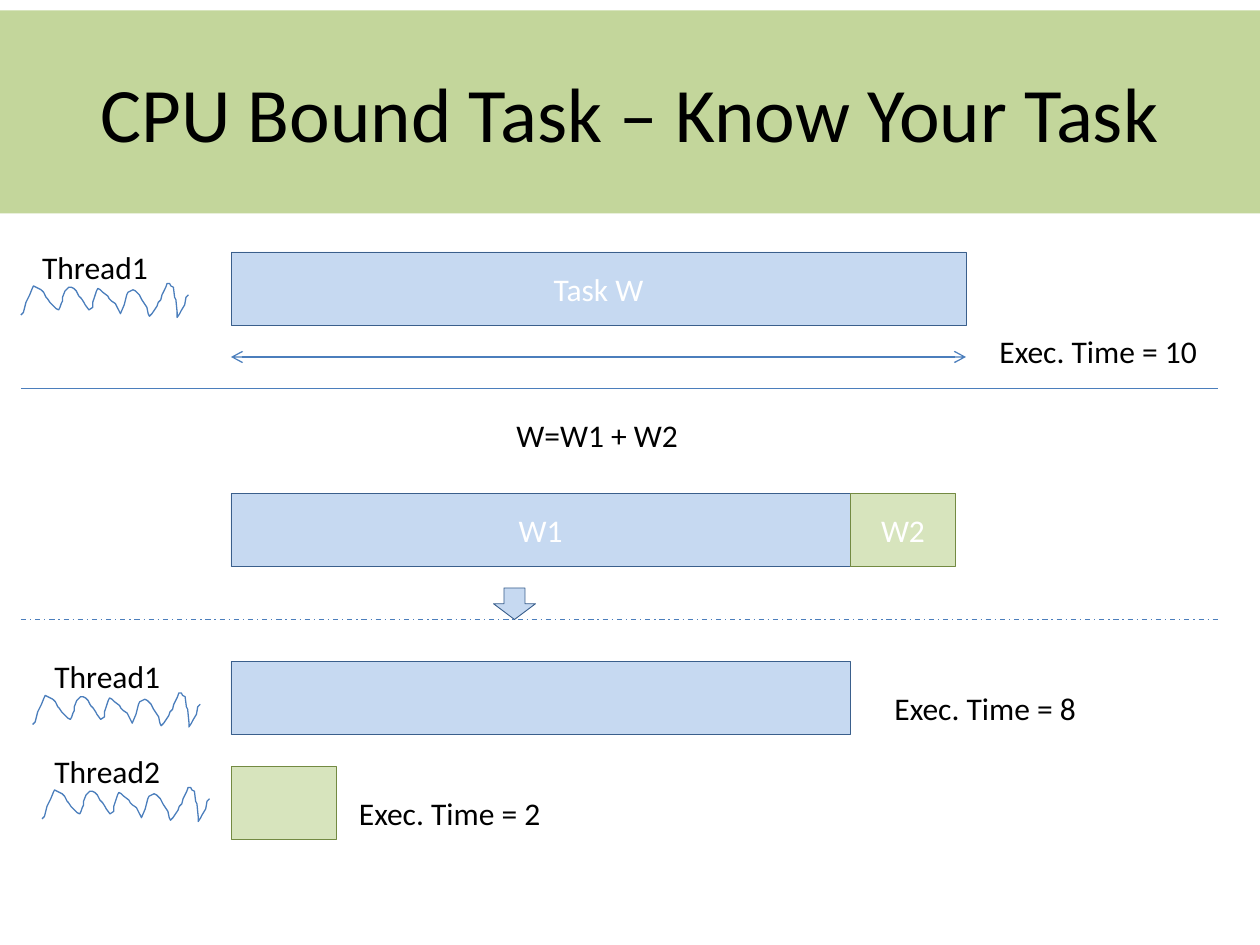
from lxml import etree
from pptx import Presentation
from pptx.dml.color import RGBColor
from pptx.enum import dml, shapes, text
from pptx.oxml import ns
from pptx.util import Pt


def colour(code):
    return RGBColor.from_string(code)


class Sketch:
    """Slide with its style; every length is in points."""
    FONT = "Calibri"
    BLACK, WHITE, ACCENT = "000000", "FFFFFF", "4B7EBC"
    BANNER = ("C3D69B", None)
    BLUE = ("C6D9F1", "3A5F8C")
    GREEN = ("D7E4BD", "738A42")

    def __init__(self, slide):
        self.slide = slide

    def set_words(self, shape, words, size, ink, align):
        frame = shape.text_frame
        frame.word_wrap = True
        paragraph = frame.paragraphs[0]
        paragraph.alignment = align
        run = paragraph.add_run()
        run.text = words
        for key, value in {"name": self.FONT, "size": Pt(size)}.items():
            setattr(run.font, key, value)
        run.font.color.rgb = colour(ink)
        return frame

    def block(self, x, y, w, h, style, words="", size=18, ink=WHITE,
              kind=shapes.MSO_SHAPE.RECTANGLE):
        shape = self.slide.shapes.add_shape(kind, Pt(x), Pt(y), Pt(w), Pt(h))
        fill, edge = style
        shape.shadow.inherit = False
        shape.fill.solid()
        shape.fill.fore_color.rgb = colour(fill)
        if edge:
            shape.line.color.rgb = colour(edge)
            shape.line.width = Pt(0.5)
        else:
            shape.line.fill.background()
        if words:
            frame = self.set_words(shape, words, size, ink, text.PP_ALIGN.CENTER)
            frame.vertical_anchor = text.MSO_ANCHOR.MIDDLE

    def label(self, x, y, w, words):
        box = self.slide.shapes.add_textbox(Pt(x), Pt(y), Pt(w), Pt(29))
        frame = self.set_words(box, words, 18, self.BLACK, text.PP_ALIGN.LEFT)
        frame.auto_size = text.MSO_AUTO_SIZE.SHAPE_TO_FIT_TEXT

    def rule(self, x1, x2, y, dash=None, arrows=False):
        line = self.slide.shapes.add_connector(
            shapes.MSO_CONNECTOR.STRAIGHT, Pt(x1), Pt(y), Pt(x2), Pt(y))
        line.line.color.rgb = colour(self.ACCENT)
        line.line.width = Pt(0.75)
        if dash:
            line.line.dash_style = dash
        properties = line._element.spPr
        if arrows:
            for end in ("a:headEnd", "a:tailEnd"):
                etree.SubElement(properties.find(ns.qn("a:ln")), ns.qn(end), type="arrow")
        etree.SubElement(properties, ns.qn("a:effectLst"))

    def wave(self, x, y, points):
        pen = self.slide.shapes.build_freeform(*points[0], scale=Pt(0.72))
        pen.add_line_segments(points[1:], close=False)
        thread = pen.convert_to_shape(Pt(x), Pt(y))
        thread.shadow.inherit = False
        thread.fill.background()
        thread.line.color.rgb = colour(self.ACCENT)
        thread.line.width = Pt(0.75)


# Thread squiggle, in steps of 0.72 pt
WAVE = [
    (0, 25), (2, 23), (4, 15), (6, 11), (7, 9), (9, 4), (10, 2), (12, 3), (16, 5),
    (18, 7), (19, 9), (20, 11), (21, 12), (23, 15), (24, 16), (26, 18), (28, 20),
    (30, 21), (31, 19), (32, 16), (33, 14), (33, 11), (35, 6), (38, 3), (40, 3),
    (42, 4), (44, 6), (45, 8), (46, 10), (48, 12), (50, 15), (51, 17), (54, 21),
    (57, 19), (57, 15), (58, 12), (60, 6), (61, 4), (63, 5), (65, 7), (69, 10),
    (70, 12), (72, 14), (75, 16), (77, 20), (78, 22), (79, 24), (82, 17), (84, 9),
    (85, 7), (89, 5), (91, 6), (93, 8), (94, 9), (96, 13), (100, 19), (101, 24),
    (102, 26), (104, 24), (108, 18), (109, 15), (111, 13), (112, 9), (113, 7),
    (115, 3), (116, 0), (118, 0), (119, 2), (121, 3), (122, 11), (123, 13),
    (124, 23), (124, 27), (126, 24), (127, 22), (130, 17), (131, 11), (133, 9)]

deck = Presentation()
deck.slide_width, deck.slide_height = Pt(720), Pt(540)
sketch = Sketch(deck.slides.add_slide(deck.slide_layouts[6]))

# Title banner
sketch.block(0, 6, 720, 116, sketch.BANNER, "CPU Bound Task – Know Your Task",
             44, sketch.BLACK)

# Task bars: all start at one edge, W2 follows W1
BAR_X, BAR_H = 132, 42
TASK_W, W1_W, W2_W = 420, 354, 60
for x, y, width, style, words in [
        (BAR_X, 144, TASK_W, sketch.BLUE, "Task W"),
        (BAR_X, 282, W1_W, sketch.BLUE, "W1"),
        (BAR_X + W1_W, 282, W2_W, sketch.GREEN, "W2"),
        (BAR_X, 378, W1_W, sketch.BLUE, ""),
        (BAR_X, 438, W2_W, sketch.GREEN, "")]:
    sketch.block(x, y, width, BAR_H, style, words)

# Split arrow, section dividers and task span
sketch.block(282, 336, 24, 18, sketch.BLUE, kind=shapes.MSO_SHAPE.DOWN_ARROW)
sketch.rule(12, 696, 222)
sketch.rule(12, 696, 354, dash=dml.MSO_LINE.DASH_DOT)
sketch.rule(BAR_X, BAR_X + TASK_W, 204, arrows=True)

# Threads: name above its squiggle
for words, name_x, wave_x, top in [
        ("Thread1", 17, 12, 138), ("Thread1", 24, 18.72, 372), ("Thread2", 24, 24, 426)]:
    sketch.label(name_x, top, 108, words)
    sketch.wave(wave_x, top + 24, WAVE)

# Formula and execution times
for x, y, words in [(288, 234, "W=W1 + W2"), (564, 186, "Exec. Time = 10"),
                    (504, 390, "Exec. Time = 8"), (198, 450, "Exec. Time = 2")]:
    sketch.label(x, y, 132, words)

deck.save("out.pptx")
